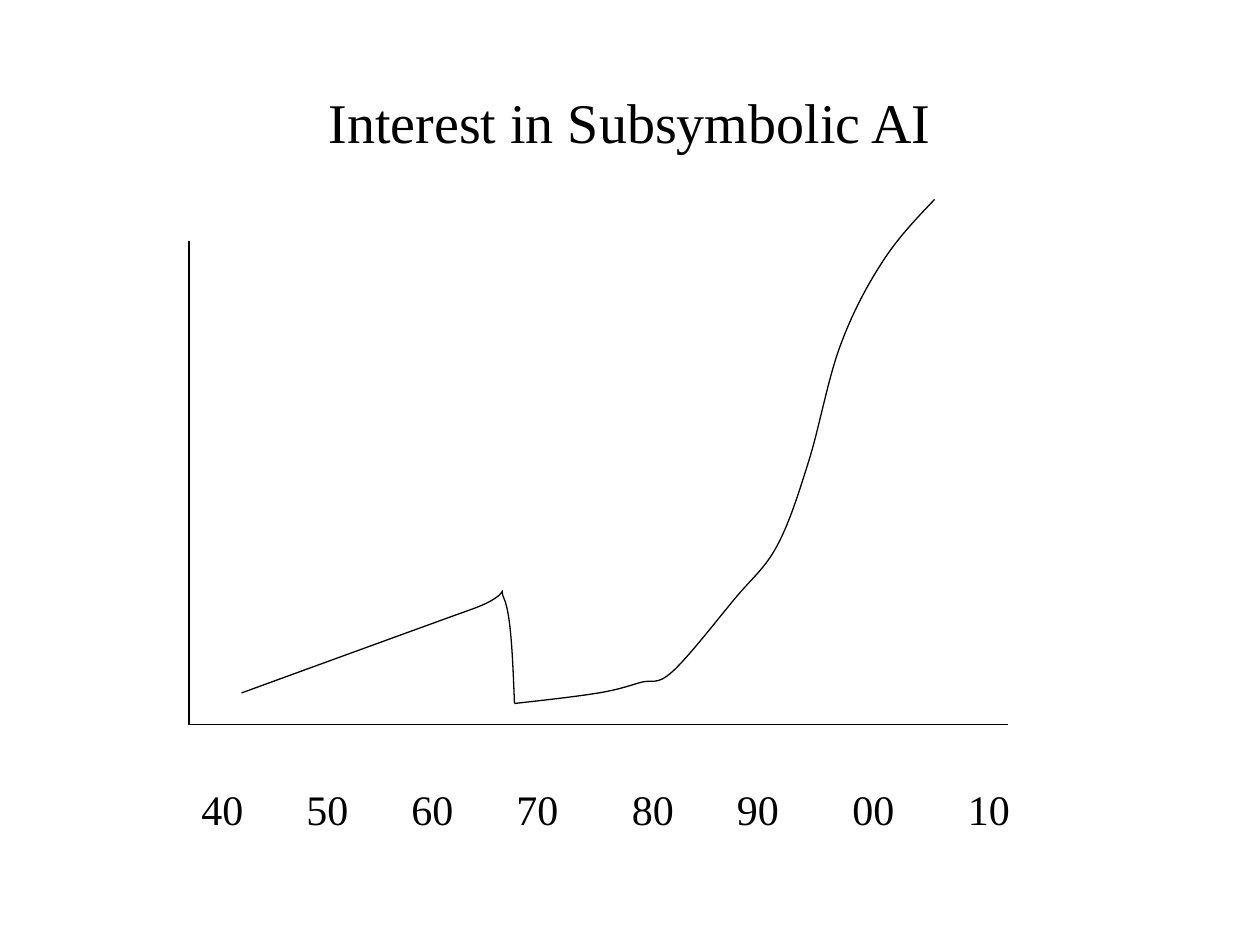
from itertools import accumulate

from lxml.etree import SubElement
from pptx import Presentation
from pptx.dml.color import RGBColor
from pptx.enum.shapes import MSO_CONNECTOR as Connector
from pptx.enum.text import MSO_ANCHOR as Anchor, PP_ALIGN as Align
from pptx.oxml.ns import qn
from pptx.util import Inches, Pt

BLACK = RGBColor(0, 0, 0)
COLS, ROWS = 120, 90
PEAK = [(23, 66), (45, 58), (48, 57), (49, 67)]
REVIVAL = [(49, 67), (57, 66), (61, 65), (64, 64), (70, 57),
           (74, 52), (77, 44), (80, 33), (84, 25), (89, 19)]
DECADES = ["40", "50", "60", "70", "80", "90", "00", "10"]
LABEL_GAPS = [10, 10, 10, 11, 10, 11, 11]


def blend(a, b, share):
    return tuple(u + (v - u) * share for u, v in zip(a, b))


def spline(points):
    """Return the two control points and the end point of each smooth segment."""
    segments = []
    last = len(points) - 2
    for i, (start, end) in enumerate(zip(points, points[1:])):
        if i > 0:
            c1 = tuple(s + (e - b) / 6 for s, e, b in zip(start, end, points[i - 1]))
        if i < last:
            c2 = tuple(e - (n - s) / 6 for e, n, s in zip(end, points[i + 2], start))
        else:
            c2 = blend(c1, end, 0.5)
        if i == 0:
            c1 = blend(start, c2, 0.5)
        segments += [c1, c2, end]
    return segments


class Sketch:
    """Draws black serif text and thin lines on a slide grid."""

    def __init__(self, prs):
        self.s = prs.slides.add_slide(prs.slide_layouts[6])
        self.unit = prs.slide_width // COLS
        self.font = {"name": "Times New Roman"}

    def text(self, text, box, size, align, anchor, stops=()):
        sp = self.s.shapes.add_textbox(*(n * self.unit for n in box))
        tf = sp.text_frame
        for key, value in {"word_wrap": True, "vertical_anchor": anchor}.items():
            setattr(tf, key, value)
        p = tf.paragraphs[0]
        p.alignment = align
        if stops:
            tabs = SubElement(p._p.get_or_add_pPr(), qn("a:tabLst"))
            for stop in stops:
                SubElement(tabs, qn("a:tab"), pos=str(stop * self.unit), algn="l")
        r = p.add_run()
        r.text = text
        for key, value in {**self.font, "size": Pt(size)}.items():
            setattr(r.font, key, value)
        r.font.color.rgb = BLACK

    def stroke(self, line):
        line.color.rgb = BLACK
        line.width = Pt(0.75)

    def axis(self, *ends):
        sp = self.s.shapes.add_connector(
            Connector.STRAIGHT, *(n * self.unit for n in ends))
        SubElement(sp._element.spPr, qn("a:effectLst"))
        self.stroke(sp.line)

    def curve(self, points):
        builder = self.s.shapes.build_freeform(*points[0], scale=self.unit)
        builder = self.s.shapes.build_freeform(
            *(round(n * self.unit) for n in points[0]))
        builder.add_line_segments(
            [tuple(round(n * self.unit) for n in pt) for pt in spline(points)],
            close=False)
        sp = builder.convert_to_shape()
        steps = list(sp._element.iter(qn("a:lnTo")))
        for i in range(0, len(steps), 3):
            bezier = SubElement(steps[i].getparent(), qn("a:cubicBezTo"))
            for step in steps[i:i + 3]:
                bezier.append(step[0])
                step.getparent().remove(step)
        sp.shadow.inherit = False
        sp.fill.background()
        self.stroke(sp.line)


def main():
    prs = Presentation()
    prs.slide_width, prs.slide_height = Inches(10), Inches(7.5)
    sketch = Sketch(prs)
    sketch.text("Interest in Subsymbolic AI", (9, 8, 102, 7), 32,
                Align.CENTER, Anchor.MIDDLE)
    sketch.axis(18, 23, 18, 69)
    sketch.axis(18, 69, 96, 69)
    sketch.text("\t".join(DECADES), (18, 74, 83, 6), 24, Align.LEFT,
                Anchor.BOTTOM, list(accumulate(LABEL_GAPS)))
    for points in (PEAK, REVIVAL):
        sketch.curve(points)
    prs.save("out.pptx")


if __name__ == "__main__":
    main()
